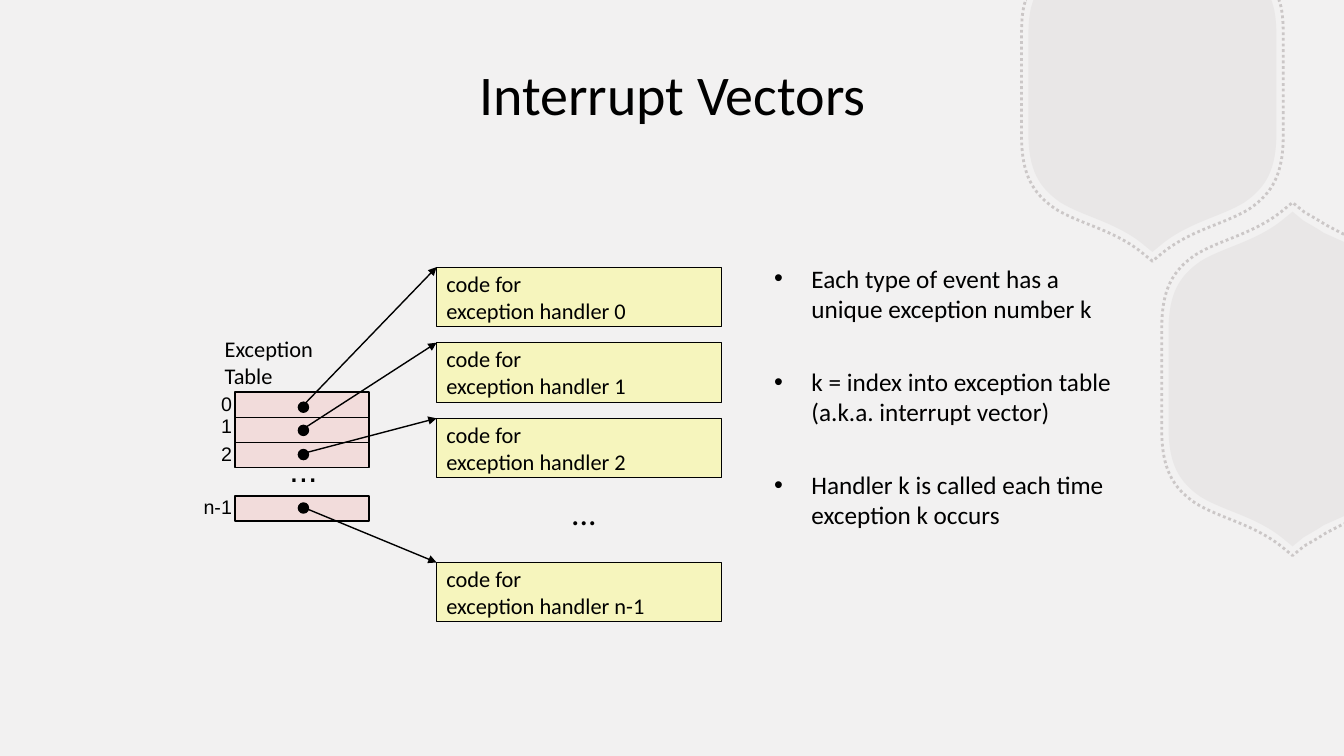
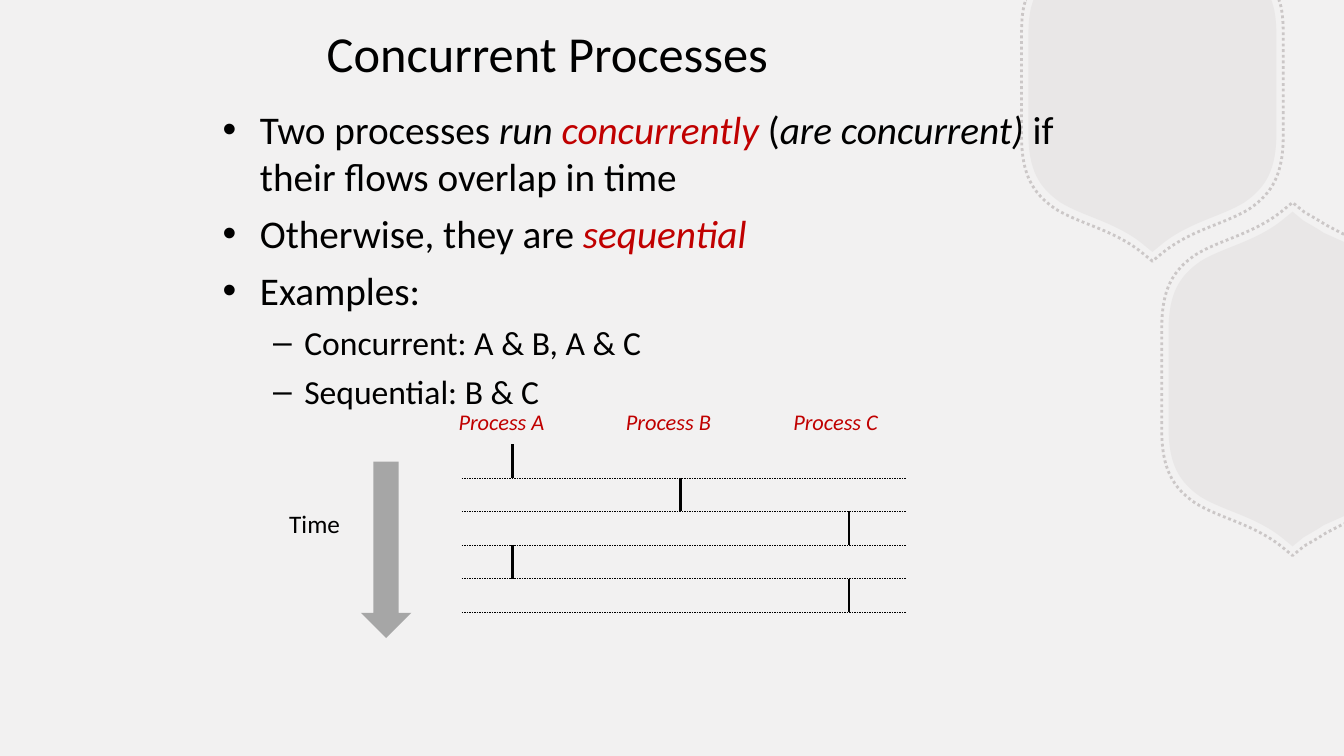
"""Build two slides on interrupt vectors and concurrent processes."""
from lxml.etree import SubElement
from pptx import Presentation
from pptx.dml.color import RGBColor as RGB
from pptx.enum.dml import MSO_LINE as Dash
from pptx.enum.shapes import MSO_CONNECTOR as Conn, MSO_SHAPE as Kind
from pptx.enum.text import MSO_ANCHOR as Anchor, MSO_AUTO_SIZE as Auto, PP_ALIGN as Align
from pptx.oxml.ns import qn
from pptx.util import Inches, Pt


class Theme:
    page = RGB(0xF2, 0xF1, 0xF1)
    ink = RGB(0, 0, 0)
    red = RGB(0xC0, 0, 0)
    rose = RGB(0xF2, 0xDC, 0xDB)
    cream = RGB(0xF6, 0xF5, 0xBD)
    gray = RGB(0xA6, 0xA6, 0xA6)
    haze = RGB(0xB8, 0xB2, 0xB2)
    head = {"name": "Calibri", "size": Pt(40)}
    title = {"name": "Calibri", "size": Pt(36)}
    lead = {"name": "Calibri", "size": Pt(28)}
    sub = {"size": Pt(24)}
    dots = {"name": "Calibri", "size": Pt(24)}
    body = {"name": "Calibri", "size": Pt(18)}
    code = {"name": "Calibri", "size": Pt(16)}
    index = {"name": "Arial", "size": Pt(14)}
    slant = {"italic": True}
    key = {"italic": True, "color": red}


def write(frame, paras, font, align=Align.LEFT, anchor=Anchor.TOP):
    form = {"word_wrap": True, "auto_size": Auto.NONE, "vertical_anchor": anchor}
    for name, value in form.items():
        setattr(frame, name, value)
    for i, para in enumerate(paras):
        p = frame.add_paragraph() if i else frame.paragraphs[0]
        p.alignment = align
        looks = [{}]
        if isinstance(para, str):
            p.text = para
        else:
            looks = [look for _, look in para]
            for text, _ in para:
                p.add_run().text = text
        for j, run in enumerate(p.runs):
            look = {"color": Theme.ink, **font, **looks[j % len(looks)]}
            run.font.color.rgb = look.pop("color")
            for name, value in look.items():
                setattr(run.font, name, value)


def draw(shape, fill=None, edge=None, width=1):
    shape.shadow.inherit = False
    for paint, tone in ((shape.fill, fill), (shape.line.fill, edge)):
        if tone is None:
            paint.background()
        else:
            paint.solid()
            paint.fore_color.rgb = tone
    if edge is not None:
        shape.line.width = Pt(width)
    return shape


deck = Presentation()
deck.slide_width, deck.slide_height = Inches(13.33), Inches(7.5)
back = deck.slide_master.background.fill
back.solid()
back.fore_color.rgb = Theme.page
layout = deck.slide_layouts[5]
first, second = [deck.slides.add_slide(layout) for _ in range(2)]

bend = [(1.23, 0.48, False), (1.23, 0.84, True), (1.13, 1.02, True), (0.91, 1.17, False),
        (0.68, 1.31, True), (0.38, 1.36, True), (0.11, 1.57, False), (0, 1.66, False)]
upper = [(1.18, -0.84, False), (1.19, -0.81, False), (1.22, -0.72, True),
         (1.23, -0.61, True), (1.23, -0.48, False)] + bend
upper += [(-x, y, pull) for x, y, pull in upper[-2::-1]]
lower = [(0.51, -1.36, False), (0.31, -1.45, False), (0.25, -1.49, True),
         (0.18, -1.53, True), (0.11, -1.57, False)]
lower += [(-x, -y, pull) for x, y, pull in bend[::-1]]
lower += [(x, -y, pull) for x, y, pull in lower[::-1]]

for grow, solid, alpha in ((1, True, 15), (1.055, False, 65)):
    for mid, top, ring in ((11.43, 0.84, upper), (12.82, 3.76, lower)):
        spots = [(Inches(min(mid + grow * x, 13.33)), Inches(max(top + grow * y, 0)))
                 for x, y, _ in ring]
        pen = first.shapes.build_freeform(*spots[0])
        pen.add_line_segments(spots[1:], close=solid)
        hexa = pen.convert_to_shape()
        steps = list(hexa.element.iter(qn("a:lnTo")))
        for i, step in enumerate(steps):
            if ring[i + 1][2] and not ring[i][2]:
                step.tag = qn("a:cubicBezTo")
                for extra in steps[i + 1:i + 3]:
                    step.append(extra[0])
                    extra.getparent().remove(extra)
        if solid:
            draw(hexa, Theme.haze)
        else:
            draw(hexa, None, Theme.haze, 2)
            hexa.line.dash_style = Dash.ROUND_DOT
        tone = hexa.element.find(".//" + qn("a:srgbClr"))
        SubElement(tone, qn("a:alpha"), val=str(alpha * 1000))
        layout.shapes.element.append(hexa.element)

for slide, text, font, area in (
        (first, "Interrupt Vectors", Theme.head, (2.17, 0.3, 9, 1.25)),
        (second, "Concurrent Processes", Theme.title, (2.11, 0.17, 6.64, 0.7))):
    title = slide.shapes.title
    for name, value in zip(("left", "top", "width", "height"), area):
        setattr(title, name, Inches(value))
    write(title.text_frame, [text], font, Align.CENTER, Anchor.MIDDLE)

lines = []
rows = (("0", 3.89, 3.99, 3.83, 2.65), ("1", 4.14, 4.22, 4.05, 3.4),
        ("2", 4.39, 4.46, 4.33, 4.15), ("n-1", 4.92, 4.99, 4.86, 5.58))
for name, cell, dot, label, code in rows:
    for kind, area, fill, width in (
            (Kind.RECTANGLE, (2.33, cell, 1.33, 0.25), Theme.rose, 1),
            (Kind.OVAL, (2.96, dot, 0.1, 0.1), Theme.ink, 1),
            (Kind.RECTANGLE, (4.33, code, 2.83, 0.59), Theme.cream, 0.75)):
        box = draw(first.shapes.add_shape(kind, *map(Inches, area)), fill, Theme.ink, width)
    write(box.text_frame, ["code for", f"exception handler {name}"], Theme.code,
          anchor=Anchor.MIDDLE)
    lines.append((first, (3, dot + 0.04, 4.33, code), 1, "arrow"))

notes = [
    (first, (1.8, label, 0.6, 0.34), [name], Theme.index, Align.RIGHT, Anchor.MIDDLE)
    for name, _, _, label, _ in rows
] + [
    (first, (2.7, 4.4, 0.62, 0.5), ["..."], {**Theme.dots, "name": "Arial"},
     Align.CENTER, Anchor.MIDDLE),
    (first, (5.49, 4.82, 0.6, 0.51), ["..."], Theme.dots, Align.CENTER, Anchor.MIDDLE),
    (first, (2.13, 3.28, 1.09, 0.64), ["Exception", "Table"], Theme.code, Align.LEFT, Anchor.TOP),
    (second, (2.77, 4.99, 0.89, 0.4), ["Time"], Theme.body, Align.LEFT, Anchor.TOP),
] + [
    (second, (4.45 + 1.66 * i, 4, 1.1, 0.37), [f"Process {name}"],
     {**Theme.code, **Theme.key}, Align.LEFT, Anchor.TOP)
    for i, name in enumerate("ABC")
]
for slide, area, paras, font, align, anchor in notes:
    box = slide.shapes.add_textbox(*map(Inches, area))
    write(box.text_frame, paras, font, align, anchor)

facts = ["Each type of event has a \nunique exception number k",
         "k = index into exception table \n(a.k.a. interrupt vector)",
         "Handler k is called each time \nexception k occurs"]
terms = [
    [("Two processes ", {}), ("run ", Theme.slant), ("concurrently", Theme.key),
     (" (", {}), ("are concurrent)", Theme.slant), (" if their flows overlap in time", {})],
    [("Otherwise, they are ", {}), ("sequential", Theme.key)],
    "Examples:",
    [("Concurrent: A & B, A & C", Theme.sub)],
    [("Sequential: B & C", Theme.sub)],
]
point, dash = (0, "•", 0.37, 0.37), (1, "–", 0.81, 0.31)
for slide, area, paras, font, marks, gap in (
        (first, (7.58, 2.56, 3.92, 3.65), facts, Theme.body, [point] * 3, 30.5),
        (second, (2.11, 1, 8.64, 3.13), terms, Theme.lead, [point] * 3 + [dash] * 2, 7)):
    frame = slide.shapes.add_textbox(*map(Inches, area)).text_frame
    write(frame, paras, font)
    for i, (p, (level, mark, left, hang)) in enumerate(zip(frame.paragraphs, marks)):
        p.level = level
        p.space_before = Pt(gap - level if i else 0)
        props = p._p.get_or_add_pPr()
        props.set("marL", str(Inches(left)))
        props.set("indent", str(-Inches(hang)))
        SubElement(props, qn("a:buFont"), typeface="Arial")
        SubElement(props, qn("a:buChar"), char=mark)

arrow = second.shapes.add_shape(Kind.DOWN_ARROW, *map(Inches, (3.58, 4.58, 0.5, 1.75)))
draw(arrow, Theme.gray)
for i, col in enumerate((0, 1, 2, 0, 2)):
    x, y = 5.08 + 1.67 * col, 4.74 + i / 3
    lines.append((second, (x, y - 1 / 3, x, y), 2, "tick"))
    lines.append((second, (4.58, y, 8.99, y), 0.25, "dash"))

for slide, ends, width, style in lines:
    line = slide.shapes.add_connector(Conn.STRAIGHT, *map(Inches, ends))
    line.line.color.rgb = Theme.ink
    line.line.width = Pt(width)
    if style == "dash":
        line.line.dash_style = Dash.DASH
    if style == "arrow":
        SubElement(line.element.find(".//" + qn("a:ln")), qn("a:tailEnd"), type="triangle")
    SubElement(line.element.spPr, qn("a:effectLst"))

deck.save("out.pptx")
